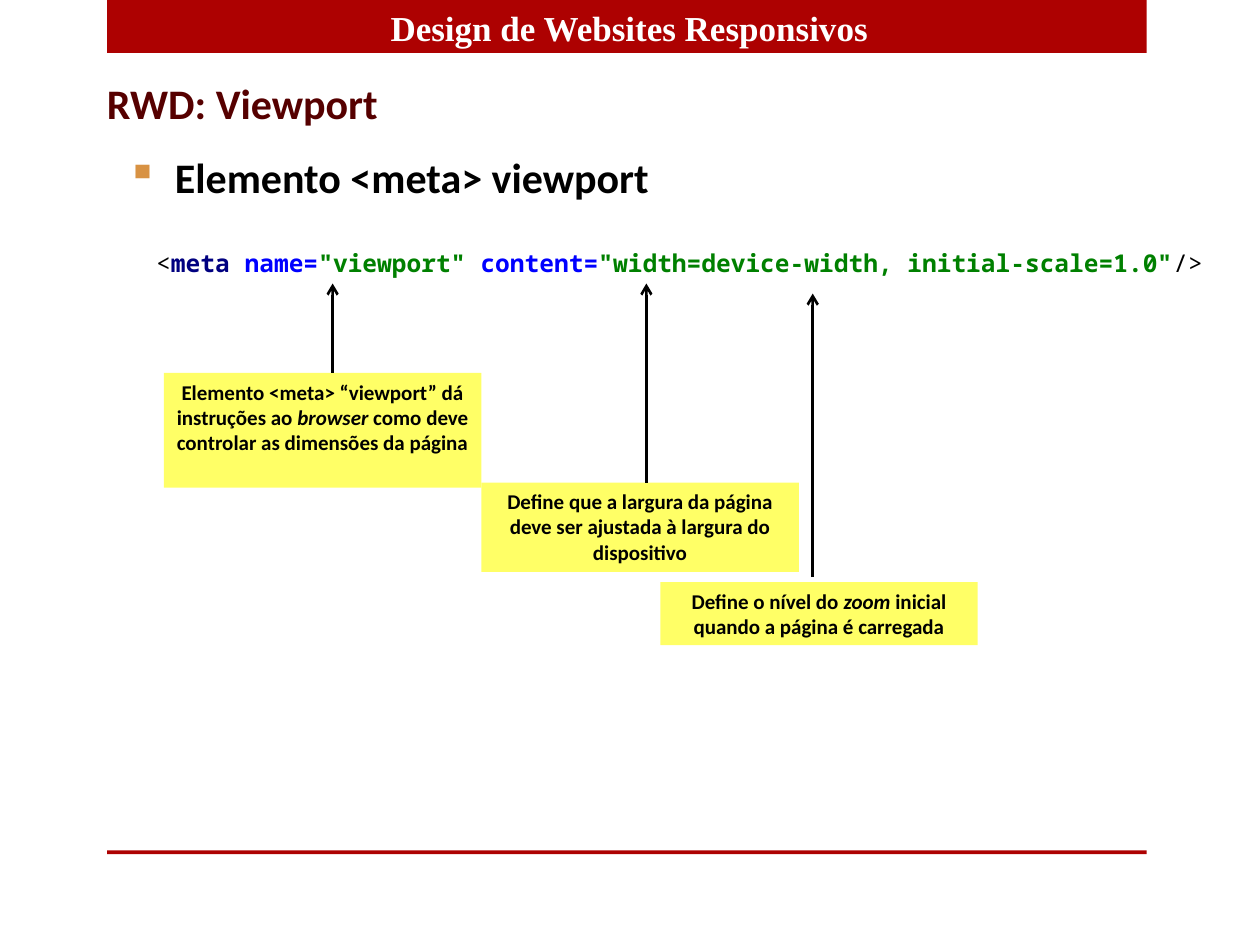
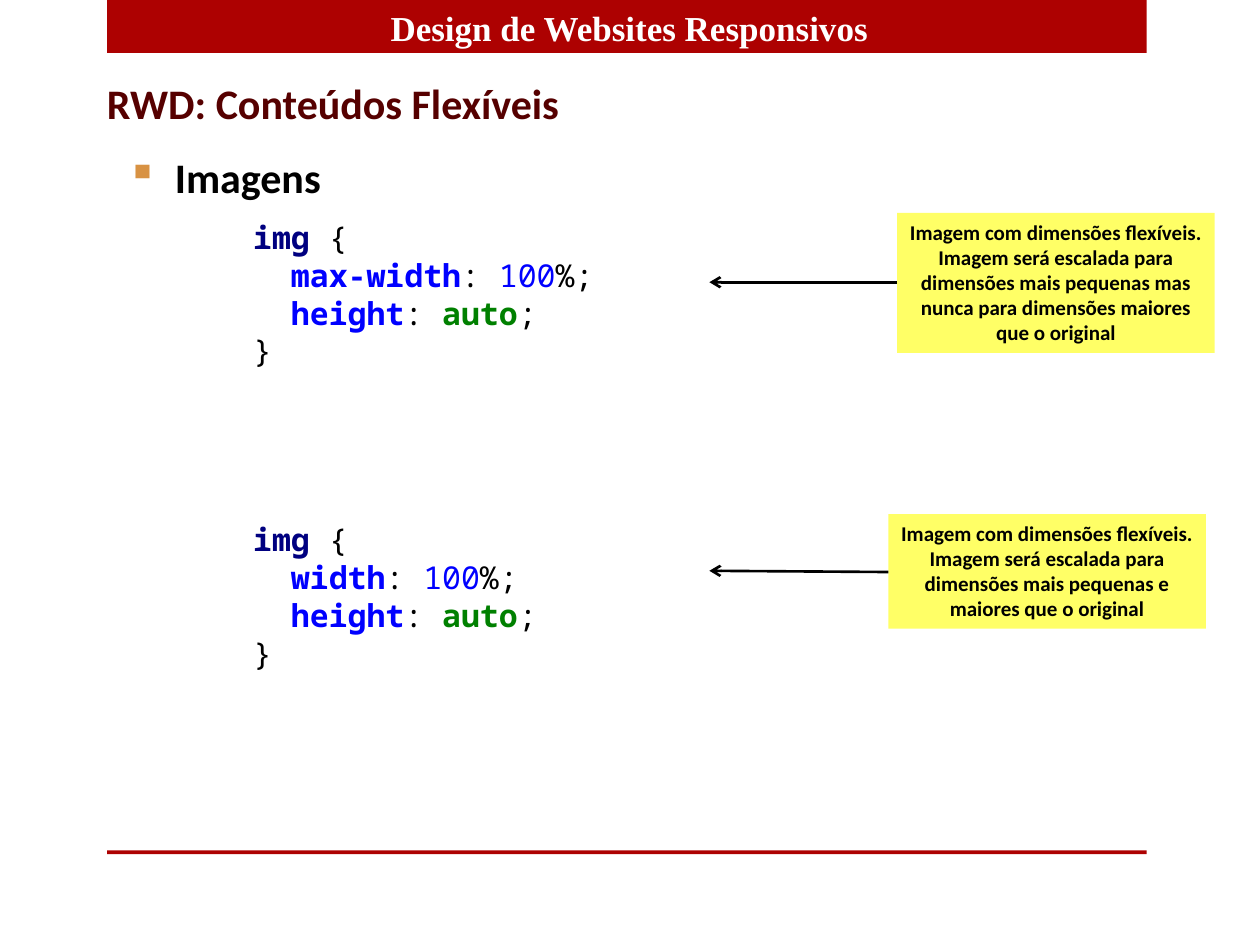
import pptx
import pptx.util
import pptx.dml.color
import pptx.enum.shapes
import pptx.enum.text
import pptx.oxml
import pptx.oxml.ns

COLORS = {
    "band": "AD0101", "title": "560000", "bullet": "D89243", "note": "FFFF66",
    "white": "FFFFFF", "black": "000000",
    "tag": "000080", "name": "0000FF", "value": "008000",
}
BOLD_CODE = {"tag", "name", "value"}
HEADER = "Design de Websites Responsivos"
NOTE_W = 2.52


def css_rule(width_property):
    return [
        (0, [("img ", "tag"), ("{", "black")]),
        (0.3, [(width_property, "name"), (": ", "black"), ("100", "number"), ("%;", "black")]),
        (0.3, [("height", "name"), (": ", "black"), ("auto", "value"), (";", "black")]),
        (0, [("}", "black")]),
    ]


META_TAG = [(0, [
    ("<", "black"), ("meta ", "tag"), ("name=", "name"), ('"viewport" ', "value"),
    ("content=", "name"), ('"width=device-width, initial-scale=1.0"', "value"), ("/>", "black"),
])]

SLIDES = [
    {
        "title": "RWD: Viewport",
        "topic": "Elemento <meta> viewport",
        "code": [(1.24, 1.97, 8.4, 14, META_TAG)],
        "notes": [
            (1.3, 2.96, 0.91, ["Elemento <meta> “viewport” dá instruções ao ", "browser",
                               " como deve controlar as dimensões da página"]),
            (3.82, 3.83, 0.71, ["Define que a largura da página deve ser ajustada à largura do dispositivo"]),
            (5.24, 4.62, 0.5, ["Define o nível do ", "zoom ", "inicial quando a página é carregada"]),
        ],
        "arrows": [(2.64, 2.96, 2.64, 2.25), (5.13, 3.83, 5.13, 2.25), (6.45, 4.58, 6.45, 2.33)],
    },
    {
        "title": "RWD: Conteúdos Flexíveis",
        "topic": "Imagens",
        "code": [(2.01, 1.73, 3.5, 18, css_rule("max-width")), (2.01, 4.13, 3.5, 18, css_rule("width"))],
        "notes": [
            (7.12, 1.69, 1.11, ["Imagem com dimensões flexíveis. Imagem será escalada para dimensões "
                                "mais pequenas mas nunca para dimensões maiores que o original"]),
            (7.05, 4.08, 0.91, ["Imagem com dimensões flexíveis. Imagem será escalada para dimensões "
                                "mais pequenas e maiores que o original"]),
        ],
        "arrows": [(7.12, 2.24, 5.63, 2.24), (7.05, 4.54, 5.63, 4.53)],
    },
]

Inches = pptx.util.Inches
Pt = pptx.util.Pt
CENTER = pptx.enum.text.PP_ALIGN.CENTER


def rgb(name):
    return pptx.dml.color.RGBColor.from_string(COLORS[name])


def add_run(p, text, size, color="black", font="Calibri", bold=True, italic=False):
    r = p.add_run()
    r.text = text
    r.font.size = Pt(size)
    r.font.name = font
    r.font.bold = bold
    r.font.italic = italic
    r.font.color.rgb = rgb(color)


def add_text(slide, x, y, w, h, wrap=True):
    sp = slide.shapes.add_textbox(Inches(x), Inches(y), Inches(w), Inches(h))
    sp.text_frame.word_wrap = wrap
    return sp.text_frame


def add_box(slide, x, y, w, h, color):
    sp = slide.shapes.add_shape(pptx.enum.shapes.MSO_SHAPE.RECTANGLE,
                                Inches(x), Inches(y), Inches(w), Inches(h))
    sp.shadow.inherit = False
    sp.fill.solid()
    sp.fill.fore_color.rgb = rgb(color)
    sp.line.fill.background()
    return sp


def add_frame(slide, title):
    for y, h in [(0, 0.42), (6.75, 0.03)]:
        add_box(slide, 0.85, y, 8.25, h, "band")
    p = add_text(slide, 2.32, 0, 5.35, 0.44).paragraphs[0]
    p.alignment = CENTER
    add_run(p, HEADER, 20, "white", "Times New Roman")
    tf = add_text(slide, 0.75, 0.57, 3.83, 0.5, wrap=False)
    add_run(tf.paragraphs[0], title, 24, "title")


def add_topic(slide, text):
    p = add_text(slide, 0.91, 1.23, 8.74, 0.5).paragraphs[0]
    p.line_spacing = 0.8
    p.space_before = Pt(4.8)
    pPr = p._p.get_or_add_pPr()
    pPr.set("marL", str(Inches(0.38)))
    pPr.set("indent", str(-Inches(0.38)))
    ns = pptx.oxml.ns.nsdecls("a")
    pPr.append(pptx.oxml.parse_xml(
        f'<a:buClr {ns}><a:srgbClr val="{COLORS["bullet"]}"/></a:buClr>'))
    pPr.append(pptx.oxml.parse_xml(f'<a:buChar {ns} char="▪"/>'))
    add_run(p, text, 24)


def add_code(slide, x, y, w, size, lines):
    tf = add_text(slide, x, y, w, len(lines) * size * 1.2 / 72, wrap=False)
    tf.margin_left = tf.margin_right = tf.margin_top = tf.margin_bottom = 0
    for i, (indent, tokens) in enumerate(lines):
        p = tf.add_paragraph() if i else tf.paragraphs[0]
        p._p.get_or_add_pPr().set("marL", str(Inches(indent)))
        for text, kind in tokens:
            color = "name" if kind == "number" else kind
            add_run(p, text, size, color, "Noto Sans Mono", kind in BOLD_CODE)


def add_note(slide, x, y, h, parts):
    tf = add_box(slide, x, y, NOTE_W, h, "note").text_frame
    tf.word_wrap = True
    tf.vertical_anchor = pptx.enum.text.MSO_ANCHOR.TOP
    p = tf.paragraphs[0]
    p.alignment = CENTER
    for i, text in enumerate(parts):
        add_run(p, text, 12, italic=i % 2 == 1)


def add_arrow(slide, *ends):
    line = slide.shapes.add_connector(pptx.enum.shapes.MSO_CONNECTOR.STRAIGHT, *map(Inches, ends))
    line.line.color.rgb = rgb("black")
    line.line.width = Pt(1.5)
    ns = pptx.oxml.ns.nsdecls("a")
    line.line._get_or_add_ln().append(pptx.oxml.parse_xml(f'<a:tailEnd {ns} type="arrow"/>'))
    line._element.spPr.append(pptx.oxml.parse_xml(f'<a:effectLst {ns}/>'))


def main():
    prs = pptx.Presentation()
    prs.slide_width, prs.slide_height = Inches(10), Inches(7.5)
    for content in SLIDES:
        slide = prs.slides.add_slide(prs.slide_layouts[6])
        add_frame(slide, content["title"])
        add_topic(slide, content["topic"])
        for code in content["code"]:
            add_code(slide, *code)
        for note in content["notes"]:
            add_note(slide, *note)
        for arrow in content["arrows"]:
            add_arrow(slide, *arrow)
    prs.save("out.pptx")


if __name__ == "__main__":
    main()
